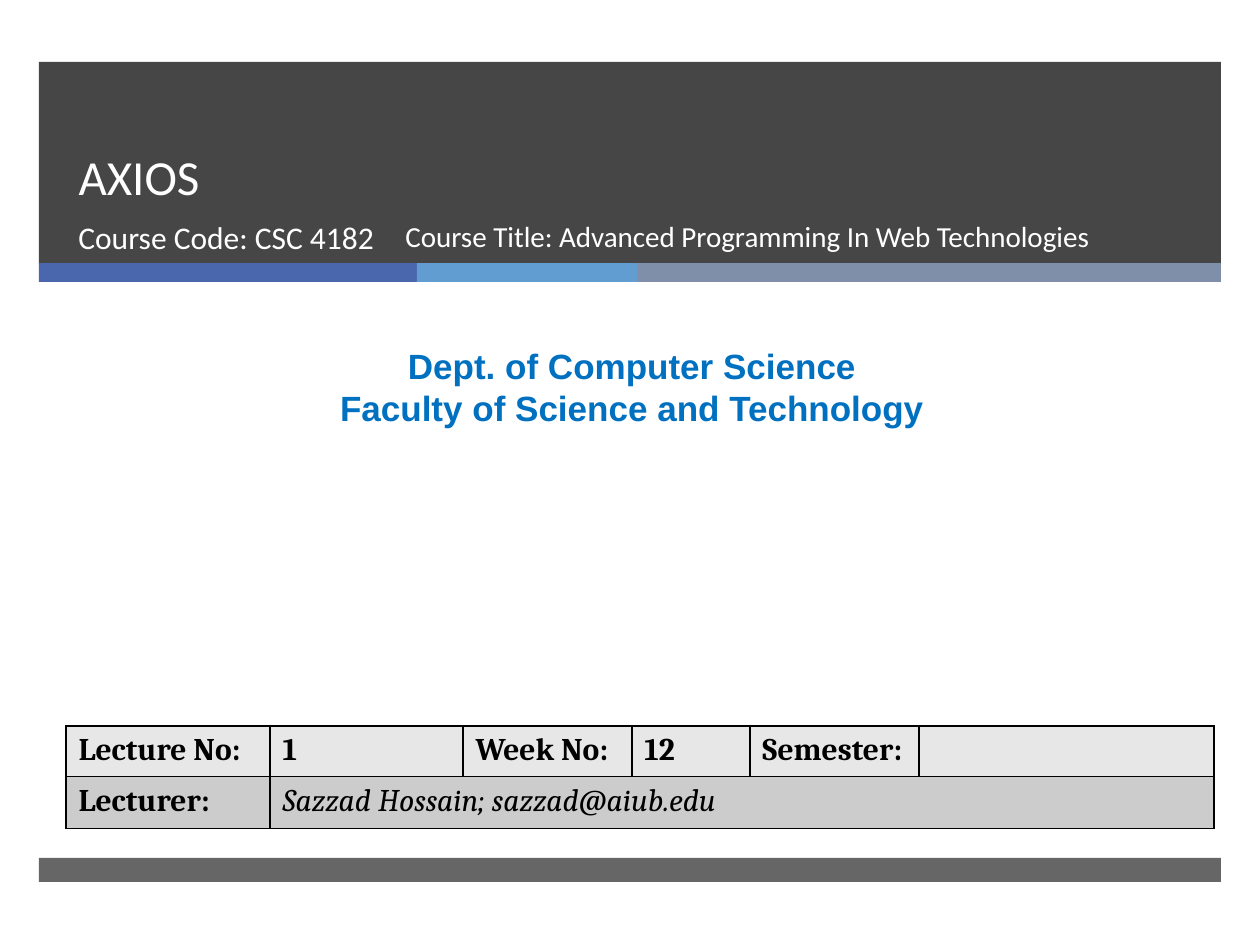
"""Build the opening slide of a web technologies lecture."""
from dataclasses import dataclass

from lxml import etree
from pptx import Presentation
from pptx import util as u
from pptx.dml.color import RGBColor
from pptx.enum import shapes, text
from pptx.oxml import ns

PX = 914400 / 126


@dataclass(frozen=True)
class Theme:
    dark: str = "262626"
    white: str = "FFFFFF"
    black: str = "000000"
    blue: str = "0070C0"
    accents: tuple = ("4A66AC", "629DD1", "7F8FA9")
    rows: tuple = ("E7E7E7", "CCCCCC")
    heading_font: str = "Calibri"
    body_font: str = "Arial"
    table_font: str = "Cambria"
    title: float = 28
    title_line: float = 46
    body: float = 20
    label: float = 18
    course: float = 16.6


THEME = Theme()

TITLE = "AXIOS"
COURSE_CODE = "Course Code: CSC 4182"
COURSE_TITLE = "Course Title: Advanced Programming In Web Technologies"
DEPARTMENT = ["Dept. of Computer Science", "Faculty of Science and Technology"]
DETAILS = [
    ["Lecture No:", "1", "Week No:", "12", "Semester:", ""],
    ["Lecturer:", "Sazzad Hossain; sazzad@aiub.edu"],
]

BAND_LEFT, BAND_WIDTH = 39, 1182
BANDS = [(62, 202, 85), (858, 24, 70)]
STRIPE_TOP, STRIPE_HEIGHT = 263, 19
STRIPE_WIDTHS = [378, 221, 583]
TITLE_AREA = (66, 62, 1076, 150)
CODE_AREA = (66, 212, 384, 67)
COURSE_AREA = (393, 212, 749, 67)
DEPARTMENT_AREA = (10, 338, 1244, 97)
TABLE_ORIGIN = (66, 726)
COLUMNS = [204, 193, 169, 118, 169, 295]
ROWS = [50, 52]


def px(value):
    return u.Emu(round(value * PX))


def area(*values):
    return [px(value) for value in values]


def add_bar(page, place, color, opacity=100):
    bar = page.shapes.add_shape(shapes.MSO_SHAPE.RECTANGLE, *area(*place))
    bar.shadow.inherit = False
    bar.line.fill.background()
    bar.fill.solid()
    bar.fill.fore_color.rgb = RGBColor.from_string(color)
    if opacity < 100:
        tint = bar.fill._xPr.find(".//" + ns.qn("a:srgbClr"))
        etree.SubElement(tint, ns.qn("a:alpha"), val=str(opacity * 1000))


def add_span(para, words, font, size, color, bold=False, italic=False):
    span = para.add_run()
    span.text = words
    span.font.name = font
    span.font.size = u.Pt(size)
    span.font.bold = bold
    span.font.italic = italic
    span.font.color.rgb = RGBColor.from_string(color)


def add_box(page, place, lines, font, size, color, align=text.PP_ALIGN.LEFT, bold=False):
    frame = page.shapes.add_textbox(*area(*place)).text_frame
    frame.word_wrap = True
    for index, line in enumerate(lines):
        para = frame.add_paragraph() if index else frame.paragraphs[0]
        para.alignment = align
        add_span(para, line, font, size, color, bold)


def set_title(page):
    title = page.shapes.title
    title.left, title.top, title.width, title.height = area(*TITLE_AREA)
    frame = title.text_frame
    frame.auto_size = text.MSO_AUTO_SIZE.NONE
    frame.vertical_anchor = text.MSO_ANCHOR.BOTTOM
    para = frame.paragraphs[0]
    para.alignment = text.PP_ALIGN.LEFT
    para.line_spacing = u.Pt(THEME.title_line)
    add_span(para, TITLE, THEME.heading_font, THEME.title, THEME.white)


def style_cell(cell, color):
    properties = cell._tc.get_or_add_tcPr()
    for side in ("a:lnL", "a:lnR", "a:lnT", "a:lnB"):
        border = etree.SubElement(properties, ns.qn(side), w=str(u.Pt(1)))
        paint = etree.SubElement(border, ns.qn("a:solidFill"))
        etree.SubElement(paint, ns.qn("a:srgbClr"), val=THEME.black)
    cell.fill.solid()
    cell.fill.fore_color.rgb = RGBColor.from_string(color)


def add_details(page):
    place = area(*TABLE_ORIGIN, sum(COLUMNS), sum(ROWS))
    table = page.shapes.add_table(len(ROWS), len(COLUMNS), *place).table
    table.first_row = table.horz_banding = False
    for column, width in zip(table.columns, COLUMNS):
        column.width = px(width)
    for row, height, color, entries in zip(table.rows, ROWS, THEME.rows, DETAILS):
        row.height = px(height)
        for cell in row.cells:
            style_cell(cell, color)
        for cell, words in zip(row.cells, entries):
            if words:
                email = "@" in words
                add_span(cell.text_frame.paragraphs[0], words, THEME.table_font,
                         THEME.label, THEME.black, bold=not email, italic=email)
    table.cell(1, 1).merge(table.cell(1, len(COLUMNS) - 1))


def main():
    deck = Presentation()
    deck.slide_width, deck.slide_height = u.Inches(10), u.Inches(7.5)
    page = deck.slides.add_slide(deck.slide_layouts.get_by_name("Title Only"))

    for top, height, opacity in BANDS:
        add_bar(page, (BAND_LEFT, top, BAND_WIDTH, height), THEME.dark, opacity)
    for index, (width, color) in enumerate(zip(STRIPE_WIDTHS, THEME.accents)):
        left = BAND_LEFT + sum(STRIPE_WIDTHS[:index])
        add_bar(page, (left, STRIPE_TOP, width, STRIPE_HEIGHT), color)

    set_title(page)
    page.shapes._spTree.append(page.shapes.title._element)
    add_box(page, CODE_AREA, [COURSE_CODE], THEME.heading_font, THEME.label, THEME.white)
    add_box(page, DEPARTMENT_AREA, DEPARTMENT, THEME.body_font, THEME.body, THEME.blue,
            text.PP_ALIGN.CENTER, bold=True)
    add_details(page)
    add_box(page, COURSE_AREA, [COURSE_TITLE], THEME.heading_font, THEME.course, THEME.white)
    deck.save("out.pptx")


if __name__ == "__main__":
    main()
